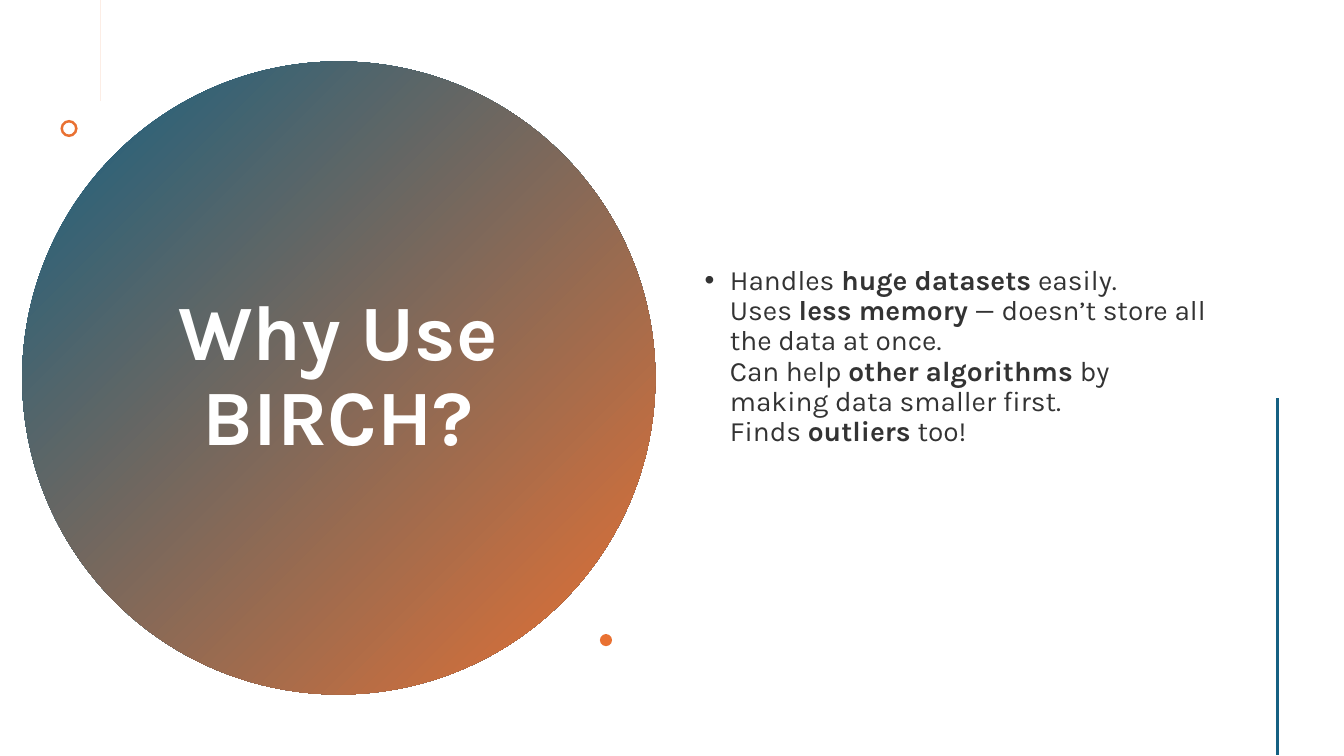
import math
import pptx
import pptx.util
import pptx.dml.color
import pptx.enum.shapes
import pptx.enum.text
import pptx.oxml
import pptx.oxml.ns

Inches = pptx.util.Inches
Pt = pptx.util.Pt
shape_kind = pptx.enum.shapes.MSO_SHAPE
BLUE, ORANGE, WHITE, BLACK = "156082", "E97132", "FFFFFF", "000000"


def color(hex_text):
    return pptx.dml.color.RGBColor.from_string(hex_text)


def style_box(box, paragraph_align):
    frame = box.text_frame
    frame.word_wrap = True
    frame.vertical_anchor = pptx.enum.text.MSO_ANCHOR.MIDDLE
    para = frame.paragraphs[0]
    para.alignment = paragraph_align
    para.line_spacing = 0.9
    return para


deck = pptx.Presentation()
deck.slide_width = Inches(13.33)
deck.slide_height = Inches(7.5)
page = deck.slides.add_slide(deck.slide_layouts[6])
shapes = page.shapes

disc_size = Inches(6.28)
disc = shapes.add_shape(shape_kind.OVAL, Inches(0.22), Inches(0.61), disc_size, disc_size)
disc.shadow.inherit = False
disc.line.fill.background()
disc.fill.gradient()
disc.fill.gradient_angle = 315
for stop, position, shade in zip(disc.fill.gradient_stops, (0, 1), (BLUE, ORANGE)):
    stop.position = position
    stop.color.rgb = color(shade)

title = shapes.add_textbox(Inches(1.36), Inches(1.41), Inches(3.99), Inches(4.67))
para = style_box(title, pptx.enum.text.PP_ALIGN.CENTER)
para.text = "Why Use BIRCH?"
span = para.runs[0]
span.font.name = "Karla"
span.font.size = Pt(56)
span.font.bold = True
span.font.color.rgb = color(WHITE)

arm, half = 0.095, 0.014
outline = []
for quarter in range(4):
    facing = quarter * math.pi / 2
    center_x = 1.325 + (arm - half) * math.cos(facing)
    center_y = 0.505 + (arm - half) * math.sin(facing)
    for step in range(-4, 5):
        turn = facing + step * math.pi / 8
        outline.append((center_x + half * math.cos(turn), center_y + half * math.sin(turn)))
    corner = facing + math.pi / 4
    reach = half * math.sqrt(2)
    outline.append((1.325 + reach * math.cos(corner), 0.505 + reach * math.sin(corner)))
builder = shapes.build_freeform(*outline[0], scale=Inches(1))
builder.add_line_segments(outline[1:], close=True)
plus = builder.convert_to_shape()

ring = shapes.add_shape(shape_kind.DONUT, Inches(0.6), Inches(1.19), Inches(0.17), Inches(0.17))
ring.adjustments[0] = 0.15
dot = shapes.add_shape(shape_kind.OVAL, Inches(5.95), Inches(6.29), Inches(0.12), Inches(0.12))
for accent in (plus, ring, dot):
    accent.shadow.inherit = False
    accent.fill.solid()
    accent.fill.fore_color.rgb = color(ORANGE)
    accent.line.fill.background()

reasons = [
    [("Handles ", False), ("huge datasets", True), (" easily.", False)],
    [("Uses ", False), ("less memory", True), (" — doesn’t store all the data at once.", False)],
    [("Can help ", False), ("other algorithms", True), (" by making data smaller first.", False)],
    [("Finds ", False), ("outliers", True), (" too!", False)],
]
body = shapes.add_textbox(Inches(6.89), Inches(0.57), Inches(5.22), Inches(6.38))
body.text_frame.margin_bottom = Inches(0.49)
para = style_box(body, pptx.enum.text.PP_ALIGN.LEFT)
para.space_before = Pt(10)
for index, reason in enumerate(reasons):
    if index:
        para.add_line_break()
    for words, strong in reason:
        span = para.add_run()
        span.text = words
        span.font.name = "Karla"
        span.font.size = Pt(20)
        span.font.bold = strong
        span.font.color.rgb = color(BLACK)
        tint = span.font.fill._xPr.find(".//" + pptx.oxml.ns.qn("a:srgbClr"))
        tint.append(pptx.oxml.parse_xml(f'<a:alpha {pptx.oxml.ns.nsdecls("a")} val="80000"/>'))
settings = para._p.get_or_add_pPr()
settings.set("marL", str(Inches(0.25)))
settings.set("indent", str(Inches(-0.25)))
for markup in ('<a:buFont {} typeface="Arial"/>', '<a:buChar {} char="•"/>'):
    settings.append(pptx.oxml.parse_xml(markup.format(pptx.oxml.ns.nsdecls("a"))))

rule = shapes.add_connector(
    pptx.enum.shapes.MSO_CONNECTOR.STRAIGHT,
    Inches(12.67), Inches(3.95), Inches(12.67), Inches(7.49))
rule.line.color.rgb = color(BLUE)
rule.line.width = Pt(2)
rule._element.spPr.append(
    pptx.oxml.parse_xml(f'<a:effectLst {pptx.oxml.ns.nsdecls("a")}/>'))

deck.save("out.pptx")
